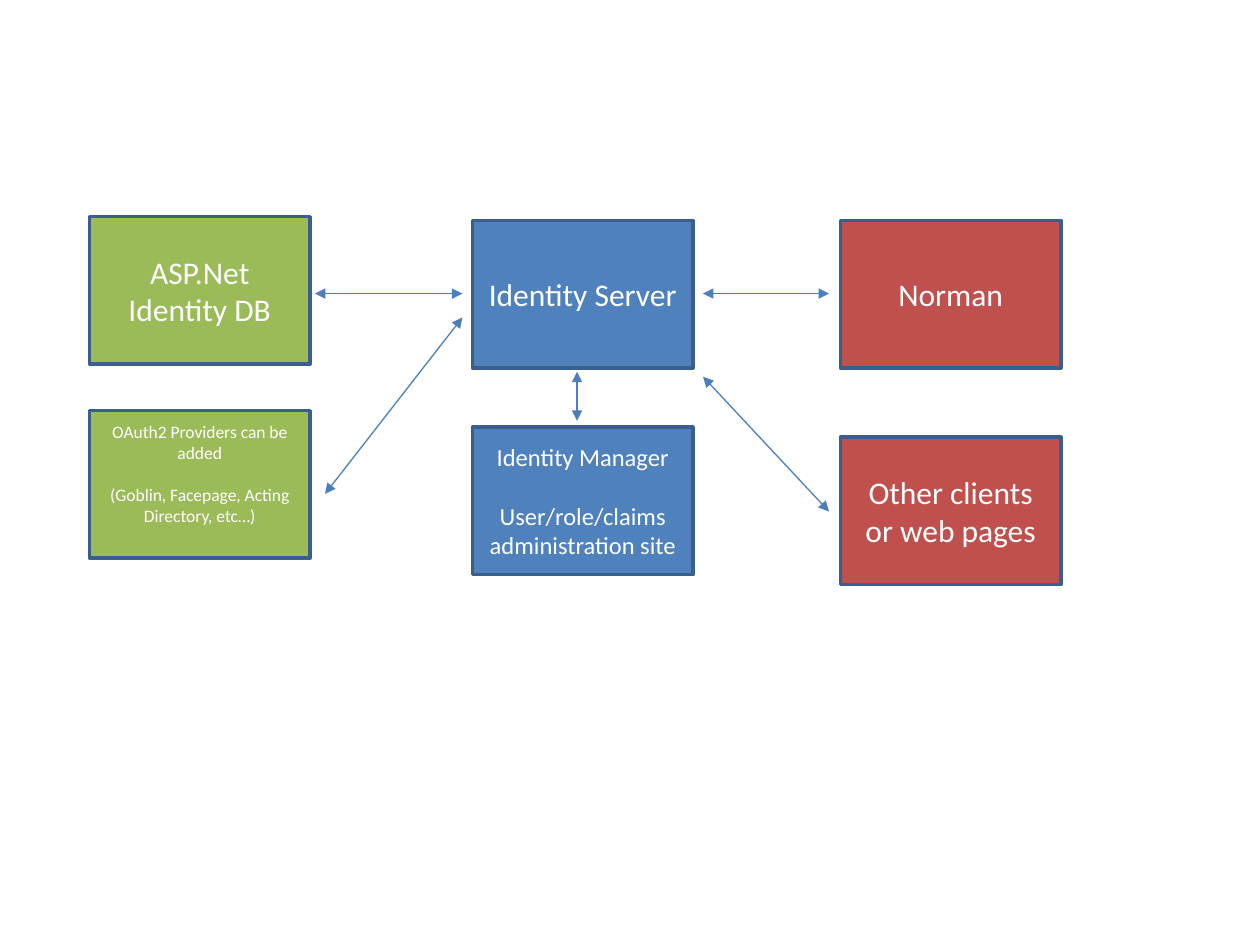
import pptx
import pptx.dml.color
import pptx.enum.shapes
import pptx.enum.text
import pptx.oxml
import pptx.oxml.ns
import pptx.util
from pptx.util import Inches

BOX_W, BOX_H = 1.75, 1.17
GREEN, BLUE, RED = "9BBB59", "4F81BD", "C0504D"
BORDER, ARROW = "3A5F8C", "4B7EBC"


def rgb(value):
    """Return the colour for a hex string."""
    return pptx.dml.color.RGBColor.from_string(value)


def write_text(tf, paragraphs, size=18, color="FFFFFF", font="Calibri", gap=0, bottom=0.05):
    """Fill a text frame with centred paragraphs, gap points apart."""
    tf.word_wrap = True
    tf.vertical_anchor = pptx.enum.text.MSO_ANCHOR.MIDDLE
    tf.margin_bottom = Inches(bottom)
    for i, text in enumerate(paragraphs):
        p = tf.paragraphs[0] if i == 0 else tf.add_paragraph()
        p.alignment = pptx.enum.text.PP_ALIGN.CENTER
        p.space_before = pptx.util.Pt(gap if i else 0)
        r = p.add_run()
        r.text = text
        r.font.size = pptx.util.Pt(size)
        r.font.name = font
        r.font.color.rgb = rgb(color)


def add_box(s, left, top, fill, paragraphs, **text_format):
    """Add one component box with its label."""
    sp = s.shapes.add_shape(
        pptx.enum.shapes.MSO_SHAPE.RECTANGLE,
        Inches(left), Inches(top), Inches(BOX_W), Inches(BOX_H))
    sp.shadow.inherit = False
    sp.fill.solid()
    sp.fill.fore_color.rgb = rgb(fill)
    sp.line.color.rgb = rgb(BORDER)
    sp.line.width = pptx.util.Pt(2)
    write_text(sp.text_frame, paragraphs, **text_format)


def add_arrow(s, x1, y1, x2, y2):
    """Add a straight line with an arrowhead at both ends."""
    cxn = s.shapes.add_connector(
        pptx.enum.shapes.MSO_CONNECTOR.STRAIGHT,
        Inches(x1), Inches(y1), Inches(x2), Inches(y2))
    cxn.line.color.rgb = rgb(ARROW)
    cxn.line.width = pptx.util.Pt(0.75)
    ln = cxn.line._get_or_add_ln()
    for tag in ("a:headEnd", "a:tailEnd"):
        ln.append(pptx.oxml.parse_xml(
            f'<{tag} {pptx.oxml.ns.nsdecls("a")} type="triangle"/>'))
    cxn._element.spPr.append(pptx.oxml.parse_xml(
        f'<a:effectLst {pptx.oxml.ns.nsdecls("a")}/>'))


def add_stores(s, left, top):
    """Add the column of identity sources."""
    add_box(s, left, top, GREEN, ["ASP.Net Identity DB"])
    add_box(s, left, top + 1.54, GREEN,
            ["OAuth2 Providers can be added",
             "(Goblin, Facepage, Acting Directory, etc…)"],
            size=10, gap=12, bottom=0.22)


def add_servers(s, left, top):
    """Add the identity server, its manager and the arrow between them."""
    add_box(s, left, top, BLUE, ["Identity Server"])
    add_box(s, left, top + 1.64, BLUE,
            ["Identity Manager", "User/role/claims administration site"],
            size=14, gap=17)
    add_arrow(s, left + 0.83, top + 1.2, left + 0.83, top + 1.59)


def add_clients(s, left, top):
    """Add the column of client applications."""
    add_box(s, left, top, RED, ["Norman"])
    add_box(s, left, top + 1.72, RED, ["Other clients or web pages"])


def add_links(s, left, top):
    """Add the arrows joining the server to the side columns."""
    server_left, server_right = left - 0.08, left + BOX_W + 0.08
    client_left = server_right + 1
    add_arrow(s, server_left, top + 0.58, left - 1.25, top + 0.58)
    add_arrow(s, server_left, top + 0.77, left - 1.17, top + 2.17)
    add_arrow(s, client_left, top + 0.58, server_right, top + 0.58)
    add_arrow(s, client_left, top + 2.31, server_right, top + 1.24)


def main():
    """Build the identity architecture slide."""
    prs = pptx.Presentation()
    prs.slide_width, prs.slide_height = Inches(10), Inches(7.5)
    s = prs.slides.add_slide(prs.slide_layouts.get_by_name("Blank"))
    add_stores(s, 0.71, 1.72)
    add_servers(s, 3.75, 1.75)
    add_clients(s, 6.67, 1.75)
    add_links(s, 3.75, 1.75)
    prs.save("out.pptx")


if __name__ == "__main__":
    main()
